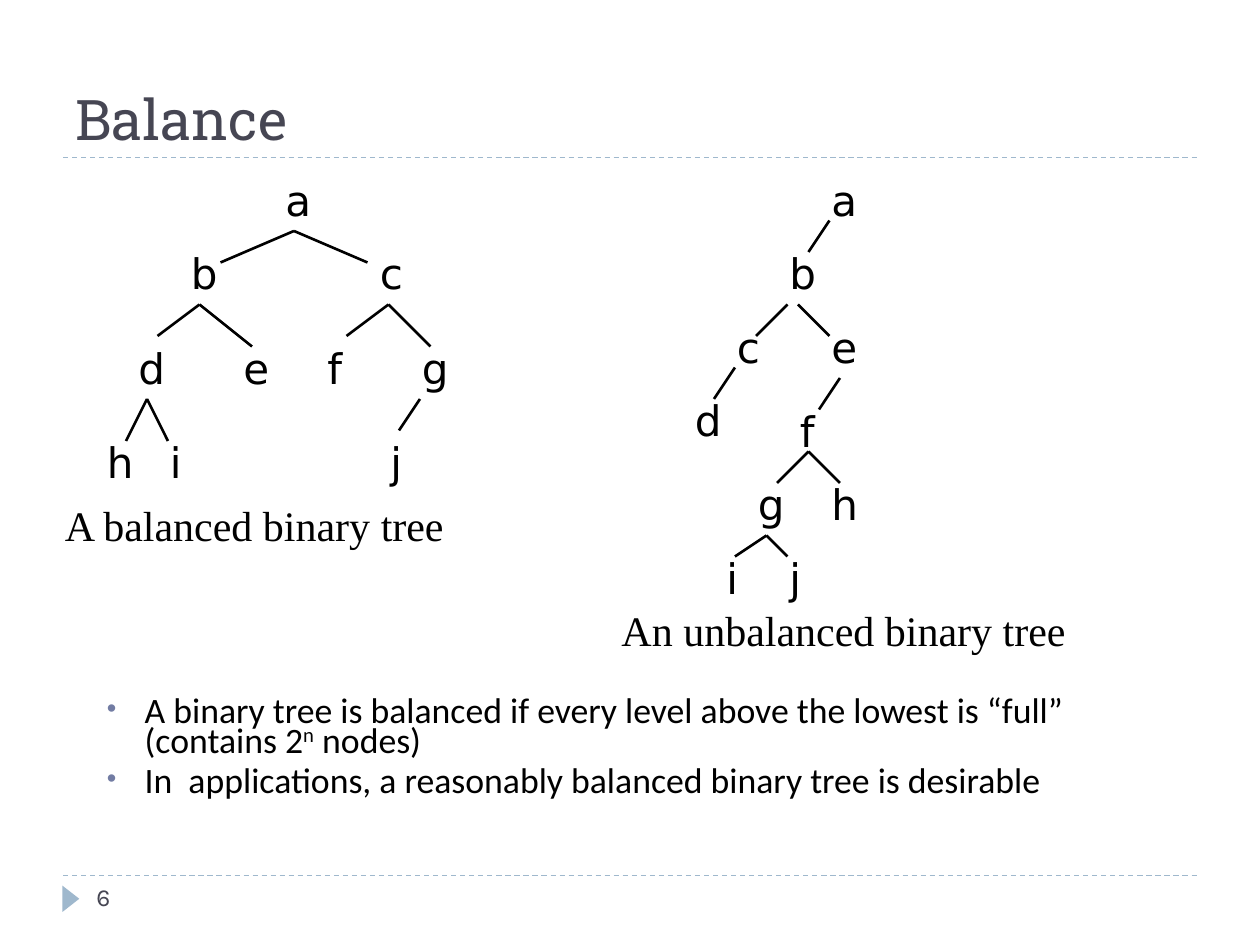
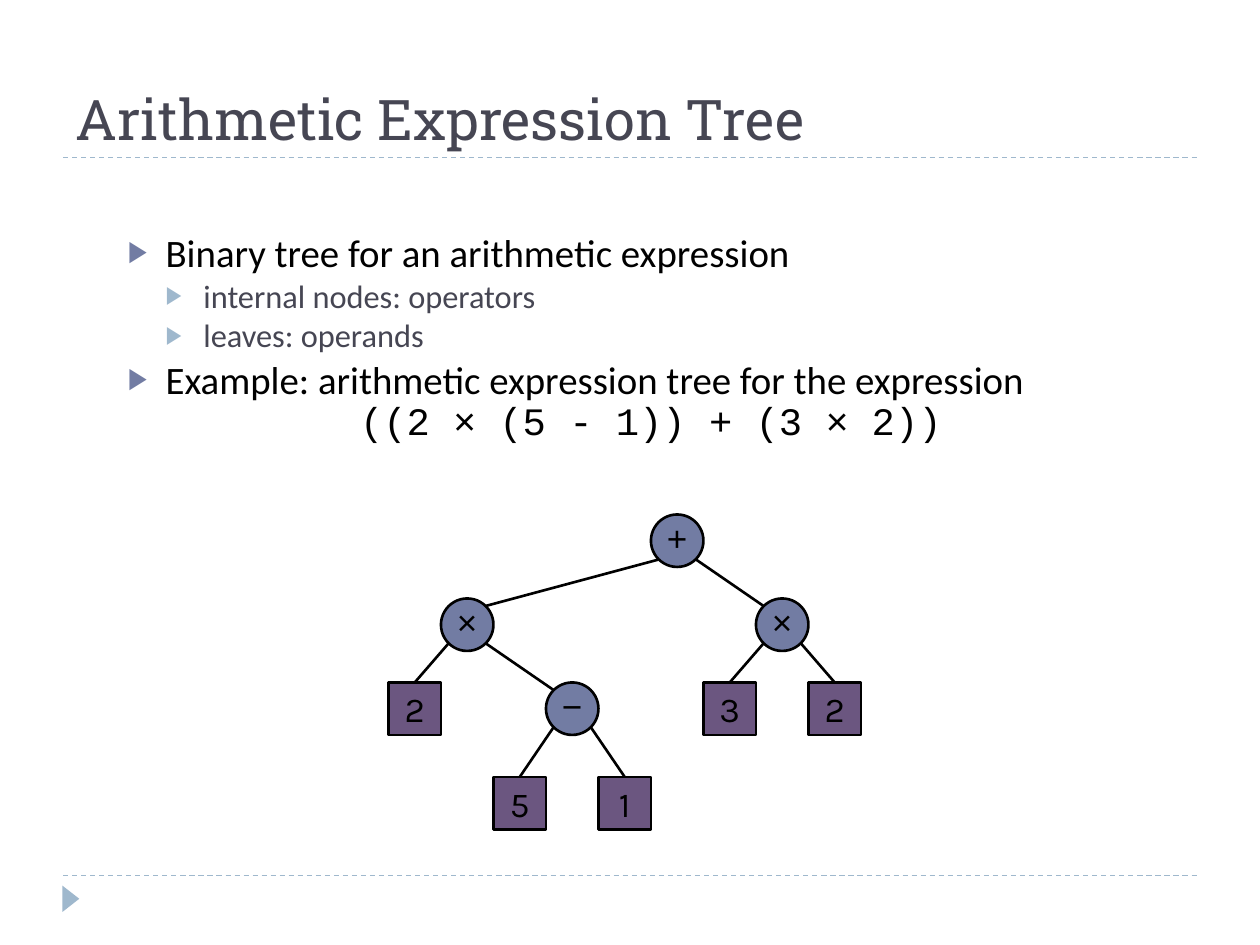
from dataclasses import dataclass
from typing import NamedTuple

from lxml.etree import SubElement
from pptx import Presentation
from pptx.dml.color import RGBColor
from pptx.enum.dml import MSO_LINE_DASH_STYLE as Dash
from pptx.enum.shapes import MSO_CONNECTOR as Connector
from pptx.enum.shapes import MSO_SHAPE as Preset
from pptx.enum.text import MSO_ANCHOR as Anchor
from pptx.enum.text import PP_ALIGN as Align
from pptx.oxml.ns import qn
from pptx.util import Emu, Pt

# Scale: 120 px to the inch
EMU_PER_PX = 7620

# Colours
BLACK = RGBColor(0x00, 0x00, 0x00)
SLATE = RGBColor(0x46, 0x46, 0x53)
SKY = RGBColor(0x9F, 0xB8, 0xCD)
INDIGO = RGBColor(0x72, 0x7C, 0xA3)
PLUM = RGBColor(0x6B, 0x56, 0x80)


class Point(NamedTuple):
    x: int
    y: int


class Box(NamedTuple):
    left: int
    top: int
    width: int
    height: int


class TextStyle(NamedTuple):
    font: str
    size: float
    color: RGBColor


class Piece(NamedTuple):
    text: str
    font: str = ""
    raised: bool = False


class Bullet(NamedTuple):
    symbol: str
    color: RGBColor


@dataclass(frozen=True)
class Item:
    pieces: list[Piece]
    style: TextStyle
    spacing: float = 1.0
    before: int = 0
    level: int = 0
    indent: int = 0
    bullet: Bullet | None = None
    align: Align = Align.LEFT


class Fork(NamedTuple):
    top: Point
    feet: list[Point]


@dataclass(frozen=True)
class LetterTree:
    nodes: dict[str, Point]
    forks: list[Fork]
    caption: str
    caption_box: Box


class ExpressionNode(NamedTuple):
    symbol: str
    corner: Point
    parent: int | None
    is_leaf: bool = False


# Shared text styles
TITLE = TextStyle("Roboto Slab", 32, SLATE)
PAGE = TextStyle("Karla", 14, SLATE)
LETTER = TextStyle("DejaVu Sans", 24, BLACK)
CAPTION = TextStyle("Times New Roman", 24, BLACK)
NOTE = TextStyle("Calibri", 20.4, BLACK)
POINT = TextStyle("Calibri", 22.2, BLACK)
SUBPOINT = TextStyle("Calibri", 18.5, SLATE)
FORMULA = TextStyle("Courier New", 22.2, BLACK)
OPERATOR = TextStyle("Arial", 20, BLACK)
OPERAND = TextStyle("Karla", 20, BLACK)

INDENT = 36
NODE_SIZE = 50
LETTER_HEIGHT = 60
CIRCLE_INSET = 7
MARGINS = (12, 6, 12, 6)


def px(length: int) -> Emu:
    return Emu(length * EMU_PER_PX)


def apply_format(target: object, values: dict[str, object]) -> None:
    for attribute, value in values.items():
        setattr(target, attribute, value)


# Text
def add_bullet(paragraph, bullet: Bullet) -> None:
    properties = paragraph._p.get_or_add_pPr()
    color = SubElement(properties, qn("a:buClr"))
    SubElement(color, qn("a:srgbClr"), val=str(bullet.color))
    SubElement(properties, qn("a:buSzPct"), val="76000")
    SubElement(properties, qn("a:buFont"), typeface="Arial")
    SubElement(properties, qn("a:buChar"), char=bullet.symbol)


def fill_paragraph(paragraph, item: Item) -> None:
    apply_format(paragraph, {
        "alignment": item.align, "level": item.level,
        "line_spacing": item.spacing, "space_before": Pt(item.before),
    })
    if item.indent:
        properties = paragraph._p.get_or_add_pPr()
        properties.set("marL", str(px(item.indent)))
        properties.set("indent", str(-px(INDENT)))
    if item.bullet:
        add_bullet(paragraph, item.bullet)
    for piece in item.pieces:
        run = paragraph.add_run()
        run.text = piece.text
        apply_format(run.font, {
            "name": piece.font or item.style.font, "size": Pt(item.style.size),
        })
        run.font.color.rgb = item.style.color
        if piece.raised:
            run._r.get_or_add_rPr().set("baseline", "30000")


def write_text(shape, items: list[Item], anchor: Anchor = Anchor.TOP,
               margins: tuple[int, int, int, int] = MARGINS, wrap: bool = True) -> None:
    left, top, right, bottom = map(px, margins)
    frame = shape.text_frame
    apply_format(frame, {
        "word_wrap": wrap, "vertical_anchor": anchor, "margin_left": left,
        "margin_top": top, "margin_right": right, "margin_bottom": bottom,
    })
    for index, item in enumerate(items):
        paragraph = frame.add_paragraph() if index else frame.paragraphs[0]
        fill_paragraph(paragraph, item)


def add_text(slide, box: Box, items: list[Item], anchor: Anchor = Anchor.TOP) -> None:
    write_text(slide.shapes.add_textbox(*map(px, box)), items, anchor)


def add_label(slide, box: Box, text: str, style: TextStyle,
              anchor: Anchor = Anchor.TOP) -> None:
    add_text(slide, box, [Item([Piece(text)], style)], anchor)


# Lines and shapes
def add_line(slide, start: Point, end: Point, color: RGBColor = BLACK,
             width: float = 1.5, dash: Dash | None = None) -> None:
    line = slide.shapes.add_connector(Connector.STRAIGHT, *map(px, (*start, *end)))
    line.line.color.rgb = color
    apply_format(line.line, {"width": Pt(width), "dash_style": dash})
    SubElement(line._element.spPr, qn("a:effectLst"))


def add_preset(slide, preset: Preset, box: Box, color: RGBColor):
    shape = slide.shapes.add_shape(preset, *map(px, box))
    shape.shadow.inherit = False
    shape.fill.solid()
    shape.fill.fore_color.rgb = color
    return shape


# Frame shared by the slides
def add_framed_slide(presentation, title: str):
    slide = presentation.slides.add_slide(presentation.slide_layouts[6])
    for rule_y in (834, 150):
        add_line(slide, Point(60, rule_y), Point(1140, rule_y), SKY, 0.75, Dash.DASH)
    marker = add_preset(slide, Preset.ISOSCELES_TRIANGLE, Box(55, 848, 25, 16), SKY)
    marker.rotation = 90
    marker.line.fill.background()
    add_label(slide, Box(60, 20, 1080, 130), title, TITLE, Anchor.BOTTOM)
    return slide


# Slide 1: balanced and unbalanced trees
BALANCED = LetterTree(
    {"a": Point(260, 160), "b": Point(170, 230), "c": Point(350, 230),
     "d": Point(120, 320), "e": Point(220, 320), "f": Point(300, 320),
     "g": Point(390, 320), "h": Point(90, 410), "i": Point(150, 410),
     "j": Point(360, 410)},
    [Fork(Point(280, 220), [Point(210, 250), Point(350, 250)]),
     Fork(Point(190, 290), [Point(150, 320), Point(240, 330)]),
     Fork(Point(370, 290), [Point(330, 320), Point(410, 330)]),
     Fork(Point(140, 380), [Point(120, 420), Point(160, 420)]),
     Fork(Point(400, 380), [Point(380, 410)])],
    "A balanced binary tree", Box(50, 470, 410, LETTER_HEIGHT),
)
UNBALANCED = LetterTree(
    {"a": Point(780, 160), "b": Point(740, 230), "c": Point(690, 300),
     "d": Point(650, 370), "e": Point(780, 300), "f": Point(750, 380),
     "g": Point(710, 450), "h": Point(780, 450), "i": Point(680, 520),
     "j": Point(740, 520)},
    [Fork(Point(790, 210), [Point(770, 240)]),
     Fork(Point(750, 290), [Point(720, 320)]),
     Fork(Point(700, 350), [Point(680, 380)]),
     Fork(Point(760, 290), [Point(790, 320)]),
     Fork(Point(800, 360), [Point(780, 390)]),
     Fork(Point(770, 430), [Point(740, 460), Point(800, 460)]),
     Fork(Point(730, 510), [Point(700, 530), Point(750, 530)])],
    "An unbalanced binary tree", Box(580, 570, 450, LETTER_HEIGHT),
)


def add_letter_tree(slide, tree: LetterTree) -> None:
    for letter, corner in tree.nodes.items():
        add_label(slide, Box(*corner, NODE_SIZE, LETTER_HEIGHT), letter, LETTER)
    for fork in tree.forks:
        for foot in fork.feet:
            add_line(slide, fork.top, foot)
    add_label(slide, tree.caption_box, tree.caption, CAPTION)


def build_balance(presentation) -> None:
    slide = add_framed_slide(presentation, "Balance")
    add_label(slide, Box(80, 834, 260, 48), "6", PAGE)
    notes = [
        [Piece("A binary tree is balanced if every level above the lowest is “full” (contains 2"),
         Piece("n", raised=True), Piece(" nodes)")],
        [Piece("In  applications, a reasonably balanced binary tree is desirable")],
    ]
    add_text(slide, Box(90, 660, 1020, 140), [
        Item(pieces, NOTE, 0.7, 6 if index else 0, 0, INDENT, Bullet("•", INDIGO))
        for index, pieces in enumerate(notes)
    ])
    for tree in (BALANCED, UNBALANCED):
        add_letter_tree(slide, tree)


# Slide 2: expression tree
EXPRESSION = [
    ExpressionNode("+", Point(620, 490), None),
    ExpressionNode("×", Point(720, 570), 0),
    ExpressionNode("×", Point(420, 570), 0),
    ExpressionNode("−", Point(520, 650), 2),
    ExpressionNode("2", Point(370, 650), 2, True),
    ExpressionNode("5", Point(470, 740), 3, True),
    ExpressionNode("1", Point(570, 740), 3, True),
    ExpressionNode("3", Point(670, 650), 1, True),
    ExpressionNode("2", Point(770, 650), 1, True),
]


def add_expression_node(slide, node: ExpressionNode) -> None:
    preset, color, style, margins = (
        (Preset.RECTANGLE, PLUM, OPERAND, MARGINS) if node.is_leaf
        else (Preset.OVAL, INDIGO, OPERATOR, (0, 0, 0, 6)))
    shape = add_preset(slide, preset, Box(*node.corner, NODE_SIZE, NODE_SIZE), color)
    shape.line.color.rgb = BLACK
    shape.line.width = Pt(1.5)
    item = Item([Piece(node.symbol)], style, align=Align.CENTER)
    write_text(shape, [item], Anchor.MIDDLE, margins, wrap=False)


def add_branch(slide, parent: ExpressionNode, child: ExpressionNode) -> None:
    near, far = CIRCLE_INSET, NODE_SIZE - CIRCLE_INSET
    goes_left = child.corner.x < parent.corner.x
    start = Point(parent.corner.x + (near if goes_left else far), parent.corner.y + far)
    if child.is_leaf:
        end = Point(child.corner.x + NODE_SIZE // 2, child.corner.y)
    else:
        end = Point(child.corner.x + (far if goes_left else near), child.corner.y + near)
    add_line(slide, start, end)


def build_expression(presentation) -> None:
    slide = add_framed_slide(presentation, "Arithmetic Expression Tree")
    outline = [
        (0, "Binary tree for an arithmetic expression"),
        (1, "internal nodes: operators"),
        (1, "leaves: operands"),
        (0, "Example: arithmetic expression tree for the expression"),
    ]
    items = [
        Item([Piece(text)], SUBPOINT if level else POINT, 0.8,
             (6 - level) if index else 0, level, INDENT * (level + 1),
             Bullet("▶", SKY if level else INDIGO))
        for index, (level, text) in enumerate(outline)
    ]
    times = Piece("×", "Arial")
    formula = [Piece("((2 "), times, Piece(" (5 - 1)) + (3 "), times, Piece(" 2))")]
    items.append(Item(formula, FORMULA, 0.9, indent=INDENT, align=Align.CENTER))
    add_text(slide, Box(110, 220, 1020, 250), items)
    for node in EXPRESSION:
        add_expression_node(slide, node)
    for node in EXPRESSION:
        if node.parent is not None:
            add_branch(slide, EXPRESSION[node.parent], node)


def main() -> None:
    presentation = Presentation()
    apply_format(presentation, {"slide_width": px(1200), "slide_height": px(900)})
    build_balance(presentation)
    build_expression(presentation)
    presentation.save("out.pptx")


if __name__ == "__main__":
    main()
